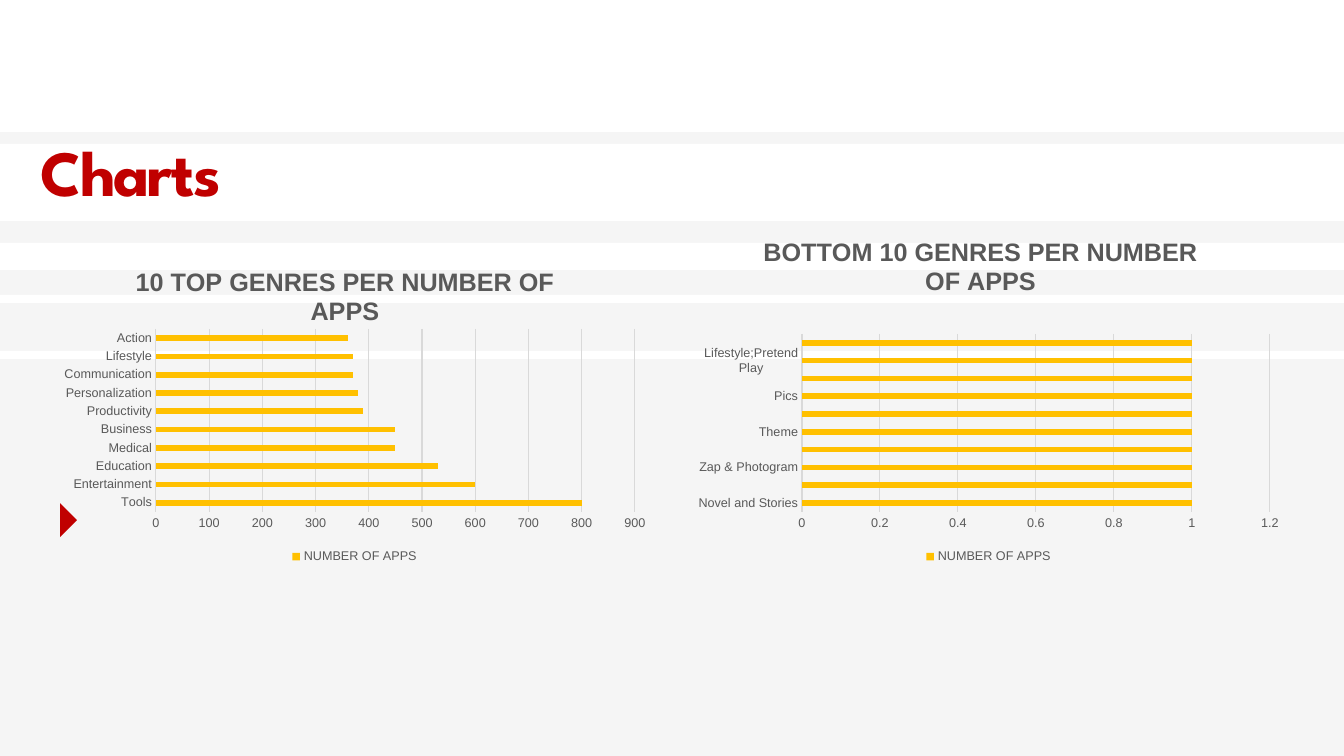
"""Build the slide with two bar charts of app genres."""
import pptx
import pptx.util
import pptx.chart.data
import pptx.dml.color
import pptx.enum.chart
import pptx.enum.shapes
import pptx.enum.text
import lxml.etree

PX = 914400 / 100.8
W, H = 1344, 756
CHART_TOP, CHART_W, CHART_H = 215, 605, 353
SHAPE = pptx.enum.shapes.MSO_SHAPE
XL = pptx.enum.chart
Pt = pptx.util.Pt


def box(*lengths):
    return [round(n * PX) for n in lengths]


def rgb(code):
    return pptx.dml.color.RGBColor.from_string(code)


prs = pptx.Presentation()
prs.slide_width, prs.slide_height = box(W, H)
s = prs.slides.add_slide(prs.slide_layouts[6])

shapes = [
    (SHAPE.RECTANGLE, (0, 0, W, H), "F5F5F5"),
    (SHAPE.RECTANGLE, (0, 0, W, 132), "FFFFFF"),
    (SHAPE.RECTANGLE, (0, 351, W, 8), "FFFFFF"),
    (SHAPE.RECTANGLE, (0, 295, W, 8), "FFFFFF"),
    (SHAPE.RECTANGLE, (0, 243, W, 27), "FFFFFF"),
    (SHAPE.RECTANGLE, (0, 144, W, 77), "FFFFFF"),
    (SHAPE.RIGHT_TRIANGLE, (48, 508, 24, 24), "C00000"),
]
for kind, place, color in shapes:
    sp = s.shapes.add_shape(kind, *box(*place))
    sp.shadow.inherit = False
    sp.fill.solid()
    sp.fill.fore_color.rgb = rgb(color)
    sp.line.fill.background()
    if kind == SHAPE.RIGHT_TRIANGLE:
        sp.rotation = 315
        sp._element.spPr.xfrm.set("flipH", "1")

tf = s.shapes.add_textbox(*box(31, 27, 626, 188)).text_frame
tf.word_wrap = True
tf.vertical_anchor = pptx.enum.text.MSO_ANCHOR.BOTTOM
p = tf.paragraphs[0]
p.line_spacing = 0.9
r = p.add_run()
r.text = "Charts"
p.font.name, p.font.size, p.font.bold = "League Spartan", Pt(46), True
p.font.color.rgb = rgb("C00000")
r._r.get_or_add_rPr().set("spc", "-150")

top_genres = {
    "Tools": 800, "Entertainment": 600, "Education": 530, "Medical": 450,
    "Business": 450, "Productivity": 390, "Personalization": 380,
    "Communication": 370, "Lifestyle": 370, "Action": 360,
}
bottom_genres = dict.fromkeys([
    "Novel and Stories", "Buy", "Zap & Photogram", "Photos", "Theme",
    "Heroes", "Pics", "Video", "Lifestyle;Pretend Play", "Pics & Videos",
], 1)
charts = [
    (52, "10 TOP GENRES PER NUMBER OF APPS", top_genres,
     (131, 261), (156, 329, 479, 183), 900, 100),
    (686, "BOTTOM 10 GENRES PER NUMBER OF APPS", bottom_genres,
     (759, 231), (802, 334, 468, 178), 1.2, 0.2),
]
for left, title, genres, title_at, plot_at, maximum, step in charts:
    data = pptx.chart.data.CategoryChartData()
    data.categories = genres.keys()
    data.add_series("NUMBER OF APPS", genres.values())
    chart = s.shapes.add_chart(
        XL.XL_CHART_TYPE.BAR_CLUSTERED,
        *box(left, CHART_TOP, CHART_W, CHART_H), data).chart
    chart.font.name, chart.font.size = "Arial", Pt(9)
    chart.font.color.rgb = rgb("595959")

    chart.has_title = True
    p = chart.chart_title.text_frame.paragraphs[0]
    p.text = title
    p.font.name, p.font.size, p.font.bold = "Arial", Pt(18), True
    p.font.color.rgb = rgb("595959")

    chart.has_legend = True
    chart.legend.position = XL.XL_LEGEND_POSITION.BOTTOM
    chart.legend.include_in_layout = False

    plot = chart.plots[0]
    plot.gap_width = 219
    plot.vary_by_categories = False
    fill = plot.series[0].format.fill
    fill.solid()
    fill.fore_color.rgb = rgb("FFC000")

    cat, val = chart.category_axis, chart.value_axis
    for axis in (cat, val):
        axis.major_tick_mark = XL.XL_TICK_MARK.NONE
    val.has_major_gridlines = True
    for line in (cat.format.line, val.major_gridlines.format.line):
        line.color.rgb = rgb("D9D9D9")
        line.width = Pt(0.75)
    val.format.line.fill.background()
    val.minimum_scale, val.maximum_scale, val.major_unit = 0, maximum, step
    val.tick_labels.number_format = "General"
    val.tick_labels.number_format_is_linked = False

    plot_area = chart._chartSpace.chart.plotArea
    for element, place in ((chart.chart_title._element, title_at), (plot_area, plot_at)):
        ns = "{%s}" % lxml.etree.QName(element).namespace
        layout = element.find(ns + "layout")
        if layout is None:
            layout = lxml.etree.Element(ns + "layout")
            element.insert(1 if element.find(ns + "tx") is not None else 0, layout)
        manual = lxml.etree.SubElement(layout, ns + "manualLayout")
        x, y, *size = place
        settings = [("xMode", "edge"), ("yMode", "edge"),
                    ("x", (x - left) / CHART_W), ("y", (y - CHART_TOP) / CHART_H)]
        if size:
            settings.insert(0, ("layoutTarget", "inner"))
            settings += [("w", size[0] / CHART_W), ("h", size[1] / CHART_H)]
        for name, value in settings:
            lxml.etree.SubElement(manual, ns + name).set("val", str(value))

prs.save("out.pptx")
